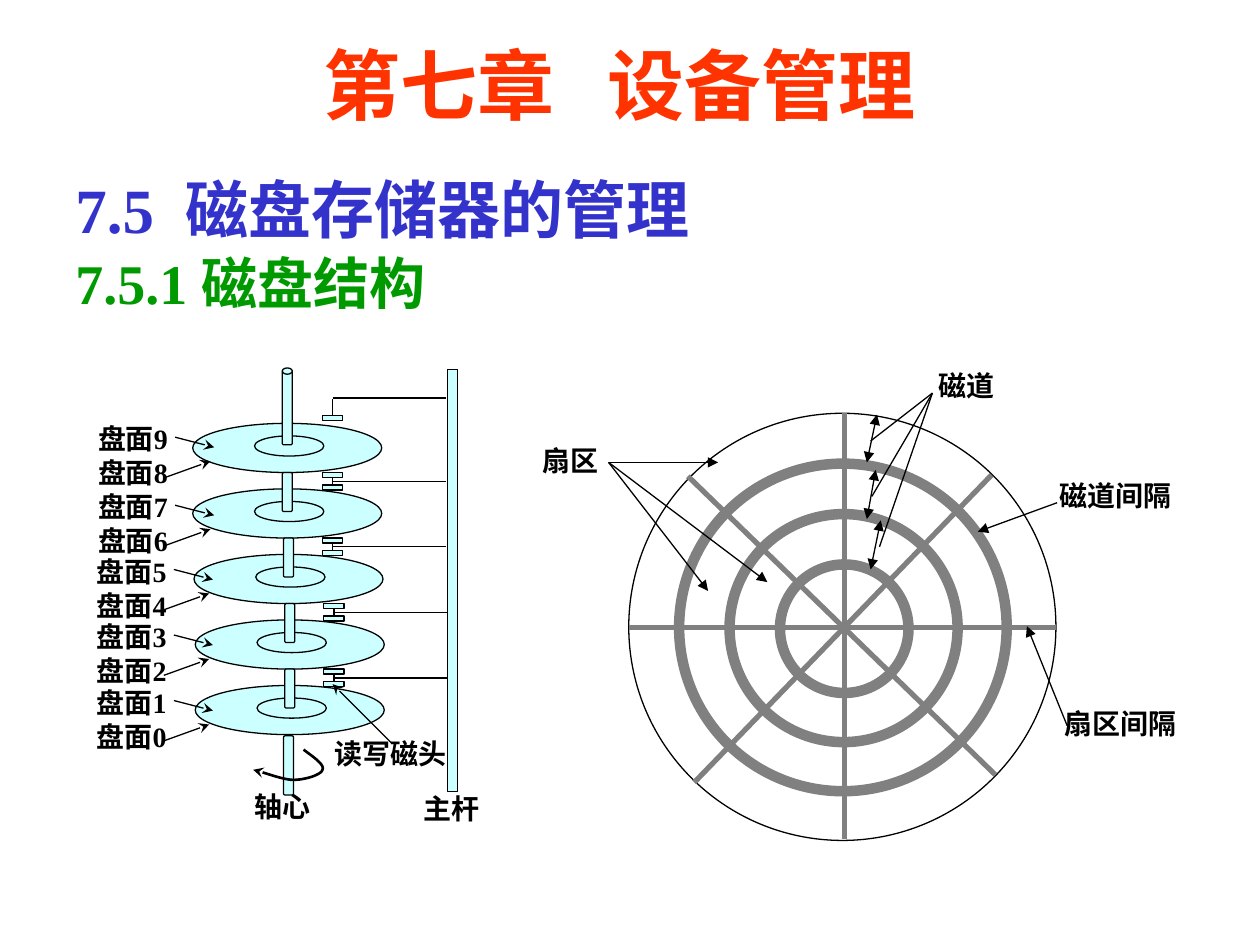
"""Build the slide on disk structure: a platter stack beside a track and sector plan."""
from lxml import etree
from pptx import Presentation
from pptx.dml.color import RGBColor
from pptx.enum.shapes import MSO_CONNECTOR, MSO_SHAPE
from pptx.enum.text import MSO_ANCHOR, MSO_AUTO_SIZE, PP_ALIGN
from pptx.oxml.ns import qn
from pptx.util import Inches, Pt

STRAIGHT = MSO_CONNECTOR.STRAIGHT
ELLIPSE = MSO_SHAPE.OVAL
RECTANGLE = MSO_SHAPE.RECTANGLE
ROUNDED = MSO_SHAPE.ROUNDED_RECTANGLE
MIDDLE = MSO_ANCHOR.MIDDLE
CENTER = PP_ALIGN.CENTER
NO_FIT = MSO_AUTO_SIZE.NONE

BLACK = RGBColor(0x00, 0x00, 0x00)
GRAY = RGBColor(0x80, 0x80, 0x80)
CYAN = RGBColor(0xCC, 0xFF, 0xFF)
RED = RGBColor(0xFF, 0x33, 0x00)
BLUE = RGBColor(0x33, 0x33, 0xCC)
GREEN = RGBColor(0x00, 0x99, 0x00)

DISK_PITCH = 0.52
DISK_LEFTS = (1.53, 1.53, 1.54, 1.55, 1.55)
LABEL_TOPS = (3.30, 3.84, 4.35, 4.87, 5.39)


class Sketch:
    """Hold the text style and the current page, and draw its elements."""

    def __init__(self, page, font="Times New Roman"):
        self.page = page
        self.font = font

    def style(self, span, size, color):
        span.font.name = self.font
        span.font.size = Pt(size)
        span.font.bold = True
        span.font.color.rgb = color

    def title(self, text, left, top, width, height):
        box = self.page.shapes.title
        box.left, box.top = Inches(left), Inches(top)
        box.width, box.height = Inches(width), Inches(height)
        frame = box.text_frame
        frame.text = text
        frame.auto_size = NO_FIT
        frame.vertical_anchor = MIDDLE
        para = frame.paragraphs[0]
        para.alignment = CENTER
        self.style(para.runs[0], 44, RED)

    def text(self, text, left, top, width, height=0.37, styles=((16, BLACK),), spacing=None):
        box = self.page.shapes.add_textbox(
            Inches(left), Inches(top), Inches(width), Inches(height))
        box.text_frame.word_wrap = True
        para = box.text_frame.paragraphs[0]
        para.text = text
        para.line_spacing = spacing
        for span, (size, color) in zip(para.runs, styles):
            self.style(span, size, color)

    def outline(self, shape, color, weight, head=None, tail=None):
        shape.line.color.rgb = color
        shape.line.width = Pt(weight)
        line = shape.element.spPr.find(qn("a:ln"))
        for tag, kind in (("a:headEnd", head), ("a:tailEnd", tail)):
            if kind:
                etree.SubElement(line, qn(tag), type=kind)

    def shape(self, kind, left, top, width, height, fill=CYAN, color=BLACK, weight=0.75):
        shape = self.page.shapes.add_shape(
            kind, Inches(left), Inches(top), Inches(width), Inches(height))
        shape.shadow.inherit = False
        if fill is None:
            shape.fill.background()
        else:
            shape.fill.solid()
            shape.fill.fore_color.rgb = fill
        self.outline(shape, color, weight)

    def line(self, x1, y1, x2, y2, color=BLACK, weight=0.75, head=None, tail=None):
        line = self.page.shapes.add_connector(
            STRAIGHT, Inches(x1), Inches(y1), Inches(x2), Inches(y2))
        self.outline(line, color, weight, head, tail)
        etree.SubElement(line.element.spPr, qn("a:effectLst"))

    def curve(self, start, segments, weight, tail, steps=12):
        points = [start]
        for first, second, end in segments:
            origin = points[-1]
            for step in range(1, steps + 1):
                t = step / steps
                u = 1 - t
                points.append(tuple(
                    u**3 * a + 3 * u * u * t * b + 3 * u * t * t * c + t**3 * d
                    for a, b, c, d in zip(origin, first, second, end)))
        vertices = [(Inches(x), Inches(y)) for x, y in points]
        builder = self.page.shapes.build_freeform(*vertices[0])
        builder.add_line_segments(vertices[1:], close=False)
        shape = builder.convert_to_shape()
        shape.shadow.inherit = False
        shape.fill.background()
        self.outline(shape, BLACK, weight, tail=tail)


def draw_platters(sketch):
    for index, left in enumerate(DISK_LEFTS):
        top = 3.36 + index * DISK_PITCH
        sketch.shape(ELLIPSE, left, top, 1.5, 0.39)
        sketch.shape(ELLIPSE, left + 0.49, top + 0.1, 0.55, 0.16)
        rise, height = (0.13, 0.31) if index else (0.42, 0.59)
        sketch.shape(ROUNDED, left + 0.71, top - rise, 0.08, height)
    sketch.shape(ELLIPSE, 2.24, 2.92, 0.08, 0.05)
    sketch.shape(ROUNDED, 2.25, 5.84, 0.08, 0.47)
    sketch.text("轴心", 1.92, 6.22, 0.79)
    sketch.curve((2.41, 5.95), [
        ((2.49, 6.01), (2.58, 6.07), (2.56, 6.11)),
        ((2.55, 6.15), (2.42, 6.19), (2.33, 6.19)),
        ((2.24, 6.19), (2.07, 6.12), (2.01, 6.11)),
    ], 1.5, "stealth")


def draw_heads(sketch):
    sketch.shape(RECTANGLE, 3.55, 2.93, 0.08, 3.35)
    sketch.text("主杆", 3.26, 6.23, 0.79)
    sketch.shape(RECTANGLE, 2.56, 3.3, 0.16, 0.04)
    sketch.line(2.64, 3.16, 3.54, 3.16)
    sketch.line(2.64, 3.17, 2.64, 3.29)
    for index, left in enumerate((2.56, 2.56, 2.57, 2.57)):
        top = 3.75 + index * DISK_PITCH
        stem = left + 0.08
        sketch.line(stem, top + 0.02, stem, top + 0.1)
        for offset in (0, 0.1):
            sketch.shape(RECTANGLE, left, top + offset, 0.16, 0.04)
        sketch.line(stem, top + 0.07, stem + 0.9, top + 0.07)
    sketch.text("读写磁头", 2.56, 5.8, 1.1)
    sketch.line(3.11, 5.9, 2.64, 5.43, tail="stealth")


def draw_surface_labels(sketch):
    for index, top in enumerate(LABEL_TOPS):
        left = 0.68 if index < 2 else 0.67
        upper = 9 - 2 * index
        sketch.text(f"盘面{upper}", left, top, 0.87)
        sketch.line(left + 0.71, top + 0.17, left + 1.02, top + 0.25, tail="stealth")
        below = top + 0.27
        sketch.text(f"盘面{upper - 1}", left, below, 0.87)
        sketch.line(left + 0.63, below + 0.22, left + 0.99, below + 0.09, tail="stealth")


def draw_tracks(sketch):
    for ring in range(4):
        size = 3.39 - 0.79 * ring
        color, weight = (GRAY, 6) if ring else (BLACK, 0.75)
        sketch.shape(ELLIPSE, 4.99 + 0.4 * ring, 3.28 + 0.4 * ring, size, size,
                     None, color, weight)
    for ends in ((4.99, 4.98, 8.38, 4.98), (6.7, 3.28, 6.7, 6.66),
                 (5.46, 3.78, 7.9, 6.15), (7.87, 3.77, 5.51, 6.21)):
        sketch.line(*ends, GRAY, 3)
    sketch.text("扇区", 4.21, 3.47, 0.79)
    for end in ((5.7, 3.67), (6.09, 4.62), (5.62, 4.69)):
        sketch.line(4.83, 3.67, *end, tail="triangle")
    for ends in ((6.96, 3.29, 6.88, 3.67), (6.95, 3.73, 6.88, 4.12),
                 (6.99, 4.13, 6.91, 4.52)):
        sketch.line(*ends, head="triangle", tail="triangle")
    sketch.text("磁道", 7.35, 2.88, 0.79)
    for end in ((6.91, 3.5), (6.92, 3.94), (6.98, 4.34)):
        sketch.line(7.4, 3.12, *end)
    sketch.text("磁道间隔", 8.31, 3.75, 1.18)
    sketch.line(8.39, 3.99, 7.76, 4.22, tail="triangle")
    sketch.text("扇区间隔", 8.35, 5.56, 1.18)
    sketch.line(8.47, 5.76, 8.15, 4.97, tail="triangle")


def main():
    deck = Presentation()
    deck.slide_width, deck.slide_height = Inches(10), Inches(7.5)
    sketch = Sketch(deck.slides.add_slide(deck.slide_layouts[5]))
    sketch.title("第七章   设备管理", 1.17, 0.25, 7.5, 0.83)
    sketch.text("7.5  磁盘存储器的管理\n7.5.1 磁盘结构", 0.5, 1.27, 9, 1.29,
                ((36, BLUE), (32, GREEN)), 1.05)
    draw_platters(sketch)
    draw_heads(sketch)
    draw_surface_labels(sketch)
    draw_tracks(sketch)
    deck.save("out.pptx")


if __name__ == "__main__":
    main()
